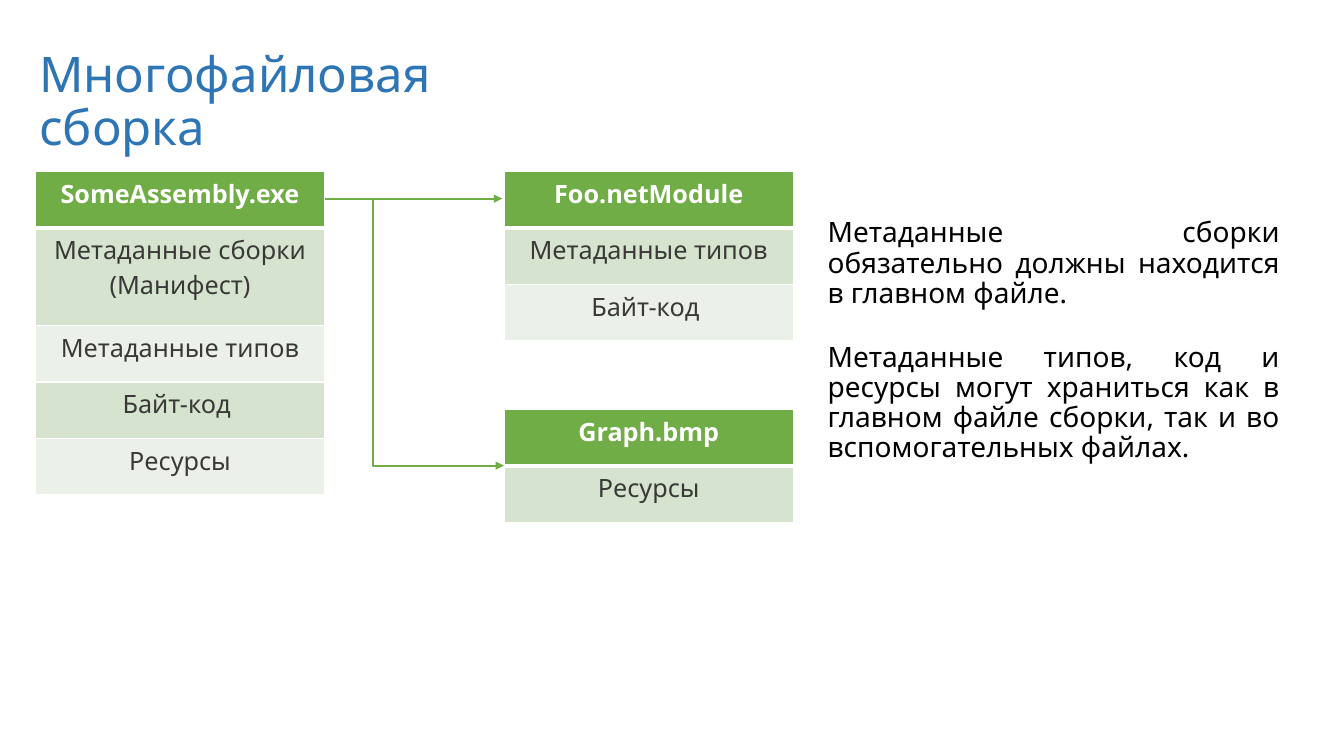
import dataclasses

import lxml.etree
import pptx
import pptx.dml.color
import pptx.enum.shapes
import pptx.enum.text
import pptx.oxml.ns
import pptx.util

WIDE = pptx.util.Inches(13.33)
HIGH = pptx.util.Inches(7.5)
FONT = "Noto Sans"
HUES = {
    "title": "2E75B6",
    "head": "70AD47",
    "odd": "D5E3CF",
    "even": "EBF1E9",
    "label": "3B3838",
    "white": "FFFFFF",
    "black": "000000",
}
ALIGN = pptx.enum.text.PP_ALIGN
LINK = pptx.enum.shapes.MSO_CONNECTOR
qn = pptx.oxml.ns.qn

SIDE = 21.53
ROW = 7.47
TALL = 12.93
LEFT = 2.63
MID = 37.5
TOP = 22.67
START = LEFT + SIDE
LEVEL = 26.27


@dataclasses.dataclass(frozen=True)
class File:
    left: float
    top: float
    labels: tuple[str, ...]


FILES = (
    File(LEFT, TOP, ("SomeAssembly.exe", "Метаданные сборки\n(Манифест)",
                     "Метаданные типов", "Байт-код ", "Ресурсы")),
    File(MID, TOP, ("Foo.netModule", "Метаданные типов", "Байт-код ")),
    File(MID, 54.13, ("Graph.bmp", "Ресурсы")),
)


def across(share: float) -> int:
    return round(WIDE * share / 100)


def down(share: float) -> int:
    return round(HIGH * share / 100)


def color(name: str) -> pptx.dml.color.RGBColor:
    return pptx.dml.color.RGBColor.from_string(HUES[name])


def write(frame, text: str, *, size: float, hue: str, bold: bool = False,
          align=ALIGN.LEFT, lead: float = 1.0, gap: float = 0) -> None:
    frame.word_wrap = True
    lines = text.split("\n")
    for rank, line in enumerate(lines):
        para = frame.add_paragraph() if rank else frame.paragraphs[0]
        para.alignment = align
        para.line_spacing = lead
        para.space_after = pptx.util.Pt(gap if rank < len(lines) - 1 else 0)
        run = para.add_run()
        run.text = line
        run.font.name = FONT
        run.font.size = pptx.util.Pt(size)
        run.font.bold = bold
        run.font.color.rgb = color(hue)


def add_box(slide, left: float, top: float, width: float, height: float,
            text: str, **form) -> None:
    box = slide.shapes.add_textbox(across(left), down(top), across(width), down(height))
    write(box.text_frame, text, **form)


def edge(cell, sides: dict[str, float]) -> None:
    props = cell._tc.get_or_add_tcPr()
    for side, points in sides.items():
        line = lxml.etree.SubElement(props, qn(f"a:ln{side}"), w=str(pptx.util.Pt(points)))
        fill = lxml.etree.SubElement(line, qn("a:solidFill"))
        lxml.etree.SubElement(fill, qn("a:srgbClr"), val=HUES["white"])


def add_file(slide, file: File) -> None:
    rows = [TALL if "\n" in label else ROW for label in file.labels]
    table = slide.shapes.add_table(len(rows), 1, across(file.left), down(file.top),
                                   across(SIDE), down(sum(rows))).table
    table.horz_banding = False
    for rank, (label, height) in enumerate(zip(file.labels, rows)):
        table.rows[rank].height = down(height)
        cell = table.cell(rank, 0)
        head = rank == 0
        edge(cell, {"L": 1, "R": 1, "T": 3 if rank == 1 else 1, "B": 3 if head else 1})
        cell.fill.solid()
        cell.fill.fore_color.rgb = color("head" if head else "odd" if rank % 2 else "even")
        write(cell.text_frame, label, size=18, hue="white" if head else "label",
              bold=head, align=ALIGN.CENTER)


def add_link(slide, kind, x1: int, y1: int, x2: int, y2: int):
    link = slide.shapes.add_connector(kind, x1, y1, x2, y2)
    link.line.color.rgb = color("head")
    link.line.width = pptx.util.Pt(1.5)
    props = link._element.spPr
    lxml.etree.SubElement(props.find(qn("a:ln")), qn("a:tailEnd"), type="triangle")
    lxml.etree.SubElement(props, qn("a:effectLst"))
    return link


def add_bend(slide, x1: int, y1: int, x2: int, y2: int) -> None:
    mid_x, mid_y = (x1 + x2) // 2, (y1 + y2) // 2
    half_x, half_y = (x2 - x1) // 2, (y2 - y1) // 2
    link = add_link(slide, LINK.ELBOW, mid_x + half_y, mid_y - half_x,
                    mid_x - half_y, mid_y + half_x)
    props = link._element.spPr
    props.find(qn("a:prstGeom")).set("prst", "bentConnector2")
    props.find(qn("a:xfrm")).set("rot", str(270 * 60000))


deck = pptx.Presentation()
deck.slide_width, deck.slide_height = WIDE, HIGH
slide = deck.slides.add_slide(deck.slide_layouts[6])

add_box(slide, 2.18, 6, 41.26, 9.2, "Многофайловая сборка",
        size=35, hue="title", lead=0.9)
for file in FILES:
    add_file(slide, file)
add_link(slide, LINK.STRAIGHT, across(START), down(LEVEL), across(37.36), down(LEVEL))
add_bend(slide, across(27.76), down(LEVEL), across(MID), down(61.6))
add_box(slide, 60.84, 28.27, 35.11, 37.2,
        "Метаданные сборки обязательно должны находится в главном файле.\n"
        "Метаданные типов, код и ресурсы могут храниться как в главном файле сборки, "
        "так и во вспомогательных файлах.",
        size=20, hue="black", align=ALIGN.JUSTIFY, lead=0.9, gap=24)

deck.save("out.pptx")
